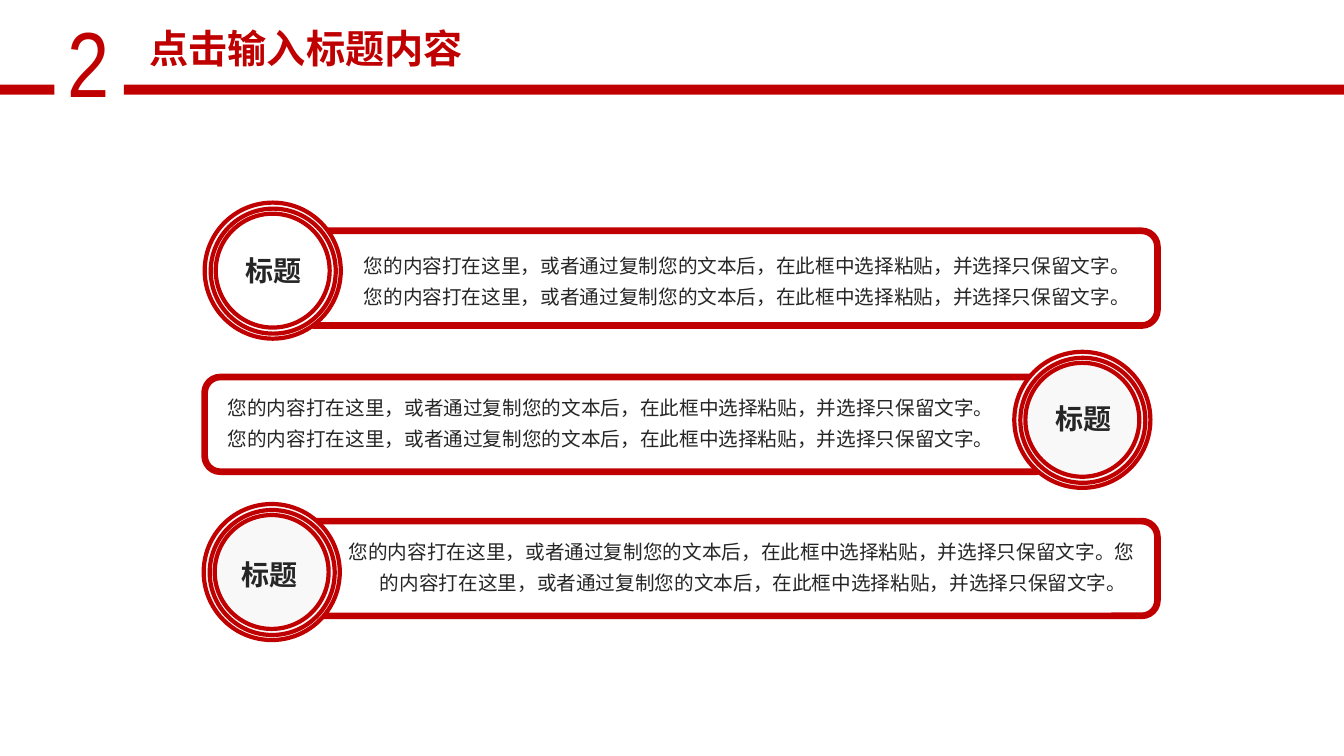
from dataclasses import dataclass

from pptx import Presentation
from pptx.dml.color import RGBColor
from pptx.enum.shapes import MSO_SHAPE as Preset
from pptx.enum.text import MSO_AUTO_SIZE as AutoSize, PP_ALIGN as Align
from pptx.oxml.ns import qn
from pptx.util import Emu, Pt

EMU_PER_PX = 9144
BODY = "您的内容打在这里，或者通过复制您的文本后，在此框中选择粘贴，并选择只保留文字。" * 2


@dataclass(frozen=True)
class Theme:
    """Colours, fonts and sizes of the slide."""
    red: str = "C00000"
    ink: str = "262626"
    pale: str = "F8F8F8"
    white: str = "FFFFFF"
    font: str = "Noto Sans CJK SC"
    number_font: str = "Arial Narrow"
    number_size: int = 66
    title_size: int = 28
    label_size: int = 20
    body_size: int = 14
    frame_line: float = 4.75
    ring_line: float = 3


THEME = Theme()


def px(value):
    """Turn px into EMU."""
    return Emu(value * EMU_PER_PX)


def add_preset(shapes, preset, box, fill=None, line_width=None):
    """Add a shape with an optional fill and an optional red line."""
    shape = shapes.add_shape(preset, *map(px, box))
    shape.shadow.inherit = False
    if fill:
        shape.fill.solid()
        shape.fill.fore_color.rgb = RGBColor.from_string(fill)
    else:
        shape.fill.background()
    if line_width:
        shape.line.color.rgb = RGBColor.from_string(THEME.red)
        shape.line.width = Pt(line_width)
    else:
        shape.line.fill.background()
    return shape


def add_text(slide, text, box, size, color=THEME.ink, font=THEME.font,
             bold=False, align=Align.LEFT, spacing=None, hanging=0):
    """Add a wrapped text box of one paragraph."""
    frame = slide.shapes.add_textbox(*map(px, box)).text_frame
    frame.word_wrap = True
    frame.auto_size = AutoSize.SHAPE_TO_FIT_TEXT
    paragraph = frame.paragraphs[0]
    paragraph.alignment = align
    if spacing:
        paragraph.line_spacing = spacing
    if hanging:
        properties = paragraph._p.get_or_add_pPr()
        properties.set("marL", str(px(hanging)))
        properties.set("indent", str(px(-hanging)))
    run = paragraph.add_run()
    run.text = text
    run.font.name = font
    run.font.size = Pt(size)
    run.font.bold = bold
    run.font.color.rgb = RGBColor.from_string(color)
    east_asian = run._r.get_or_add_rPr().makeelement(qn("a:ea"), {"typeface": font})
    run.font._element.find(qn("a:latin")).addnext(east_asian)


def add_badge(slide, left, top, middle_fill=None):
    """Add a group of three concentric rings."""
    group = slide.shapes.add_group_shape()
    fills = (THEME.pale, middle_fill, None)
    for (inset, diameter), fill in zip(((0, 135), (6, 124), (11, 113)), fills):
        box = (left + inset, top + inset, diameter, diameter)
        add_preset(group.shapes, Preset.OVAL, box, fill, THEME.ring_line)


def add_header(slide):
    """Add the section number, the title and the rule on both sides."""
    add_text(slide, "2", (57, 0, 34, 121), THEME.number_size,
             color=THEME.red, font=THEME.number_font)
    for left, right in ((0, 54), (123, 1333)):
        add_preset(slide.shapes, Preset.RECTANGLE, (left, 84, right - left, 10), THEME.red)
    add_text(slide, "点击输入标题内容", (124, 19, 359, 57), THEME.title_size,
             color=THEME.red, bold=True, align=Align.CENTER)


def add_panel(slide, frame, badge, label, body, middle_fill=None,
              label_align=Align.LEFT, hanging=0):
    """Add a framed paragraph with a labelled badge at one end."""
    add_preset(slide.shapes, Preset.ROUNDED_RECTANGLE, frame, line_width=THEME.frame_line)
    add_badge(slide, *badge, middle_fill)
    add_text(slide, "标题", label, THEME.label_size, bold=True, align=label_align)
    add_text(slide, BODY, body, THEME.body_size, spacing=1.3, hanging=hanging)


def main():
    """Build and save the slide."""
    presentation = Presentation()
    presentation.slide_width, presentation.slide_height = px(1333), px(750)
    slide = presentation.slides.add_slide(presentation.slide_layouts[6])
    add_header(slide)
    add_panel(slide, frame=(296, 229, 852, 94), badge=(203, 201),
              label=(205, 247, 133, 44), body=(351, 240, 781, 71),
              middle_fill=THEME.white, label_align=Align.CENTER)
    add_panel(slide, frame=(203, 374, 840, 94), badge=(1006, 349),
              label=(1037, 393, 109, 44), body=(216, 381, 784, 98))
    add_panel(slide, frame=(296, 517, 852, 94), badge=(202, 500),
              label=(230, 548, 125, 44), body=(336, 524, 811, 71), hanging=31)
    presentation.save("out.pptx")


if __name__ == "__main__":
    main()
